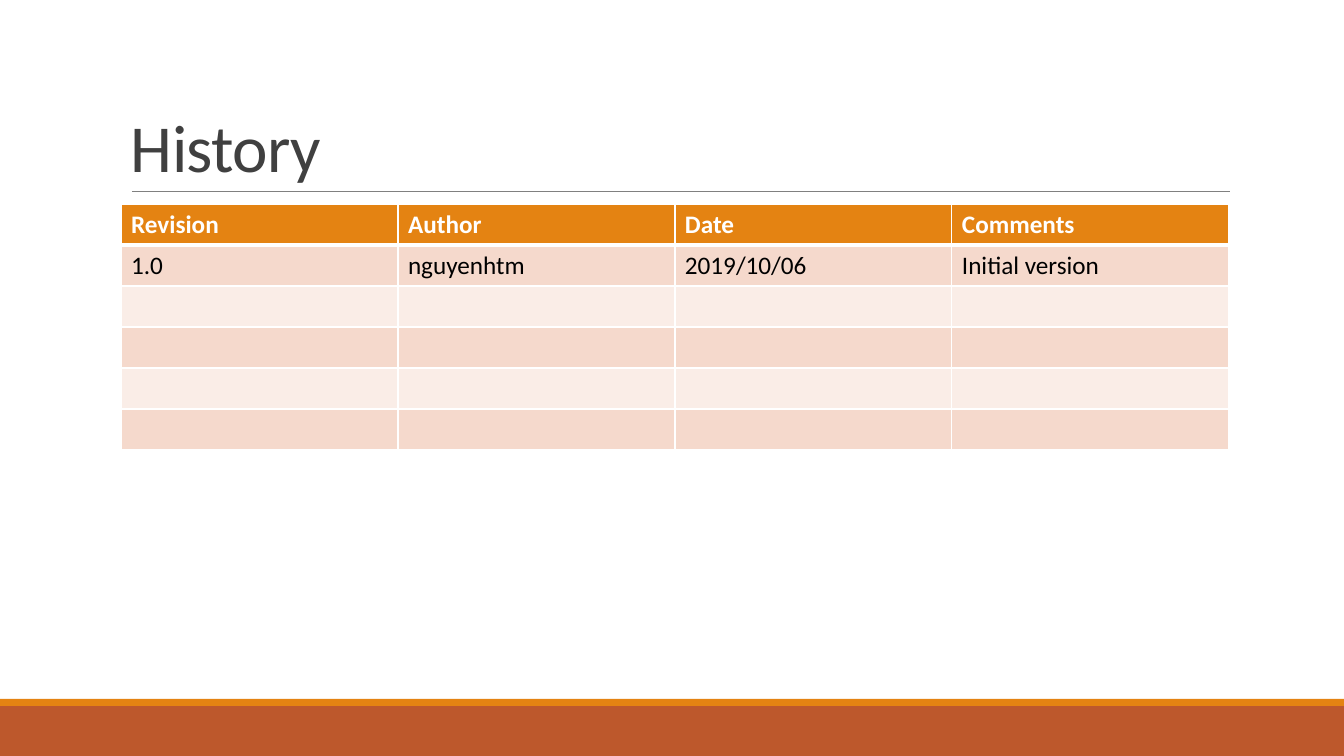
from pptx import Presentation
from pptx.dml.color import RGBColor
from pptx.enum.shapes import MSO_CONNECTOR as CONN, MSO_SHAPE as SHAPE
from pptx.enum.text import MSO_ANCHOR as ANCHOR
from pptx.oxml import parse_xml
from pptx.oxml.ns import nsdecls
from pptx.util import Pt


def px(n):
    return round(n * 12192000 / 1344)


def color(value):
    return RGBColor.from_string(value)


class Deck:
    font = "Calibri"
    white, black, title_gray, rule_gray = "FFFFFF", "000000", "404040", "808080"
    orange, rust = "E48312", "BD582C"
    bands = ("F5D9CC", "FAEDE7")

    def __init__(self, prs):
        self.s = prs.slides.add_slide(prs.slide_layouts[6])

    def style(self, r, size, value, bold=False):
        r.font.name = self.font
        r.font.size = Pt(size)
        r.font.bold = bold
        r.font.color.rgb = color(value)

    def bar(self, x, y, w, h, value):
        sp = self.s.shapes.add_shape(SHAPE.RECTANGLE, px(x), px(y), px(w), px(h))
        sp.shadow.inherit = False
        sp.fill.solid()
        sp.fill.fore_color.rgb = color(value)
        sp.line.fill.background()

    def rule(self, x1, x2, y):
        ln = self.s.shapes.add_connector(CONN.STRAIGHT, px(x1), px(y), px(x2), px(y))
        ln.line.color.rgb = color(self.rule_gray)
        ln.line.width = Pt(0.5)
        ln._element.spPr.append(parse_xml(f"<a:effectLst {nsdecls('a')}/>"))

    def title(self, x, y, w, h, text):
        tf = self.s.shapes.add_textbox(px(x), px(y), px(w), px(h)).text_frame
        tf.word_wrap = True
        tf.vertical_anchor = ANCHOR.BOTTOM
        tf.text = text
        p = tf.paragraphs[0]
        p.line_spacing = 0.85
        r = p.runs[0]
        self.style(r, 48, self.title_gray)
        r.font._element.set("spc", "-50")

    def borders(self, cell, top, bottom):
        tc_pr = cell._tc.get_or_add_tcPr()
        widths = {"L": 1, "R": 1, "T": top, "B": bottom}
        for i, (side, width) in enumerate(widths.items()):
            tc_pr.insert(i, parse_xml(
                f'<a:ln{side} {nsdecls("a")} w="{Pt(width)}"><a:solidFill>'
                f'<a:srgbClr val="{self.white}"/></a:solidFill></a:ln{side}>'))

    def table(self, x, y, col_w, row_h, n_rows, data):
        n_cols = len(data[0])
        frame = self.s.shapes.add_table(
            n_rows, n_cols, px(x), px(y), px(col_w * n_cols), px(row_h * n_rows))
        for i in range(n_rows):
            header = i == 0
            for j in range(n_cols):
                cell = frame.table.cell(i, j)
                cell.fill.solid()
                fill = self.orange if header else self.bands[(i - 1) % 2]
                cell.fill.fore_color.rgb = color(fill)
                self.borders(cell, 3 if i == 1 else 1, 3 if header else 1)
                if i < len(data):
                    cell.text_frame.text = data[i][j]
                    r = cell.text_frame.paragraphs[0].runs[0]
                    self.style(r, 18, self.white if header else self.black, header)


def main():
    prs = Presentation()
    prs.slide_width, prs.slide_height = px(1344), px(756)
    deck = Deck(prs)
    deck.bar(0, 706, 1344, 50, deck.rust)
    deck.bar(0, 699, 1344, 7, deck.orange)
    deck.rule(132, 1230, 191)
    deck.title(121, 31, 1109, 160, "History")
    deck.table(121, 204, 277, 41, 6, [
        ["Revision", "Author", "Date", "Comments"],
        ["1.0", "nguyenhtm", "2019/10/06", "Initial version"],
    ])
    prs.save("out.pptx")


if __name__ == "__main__":
    main()
